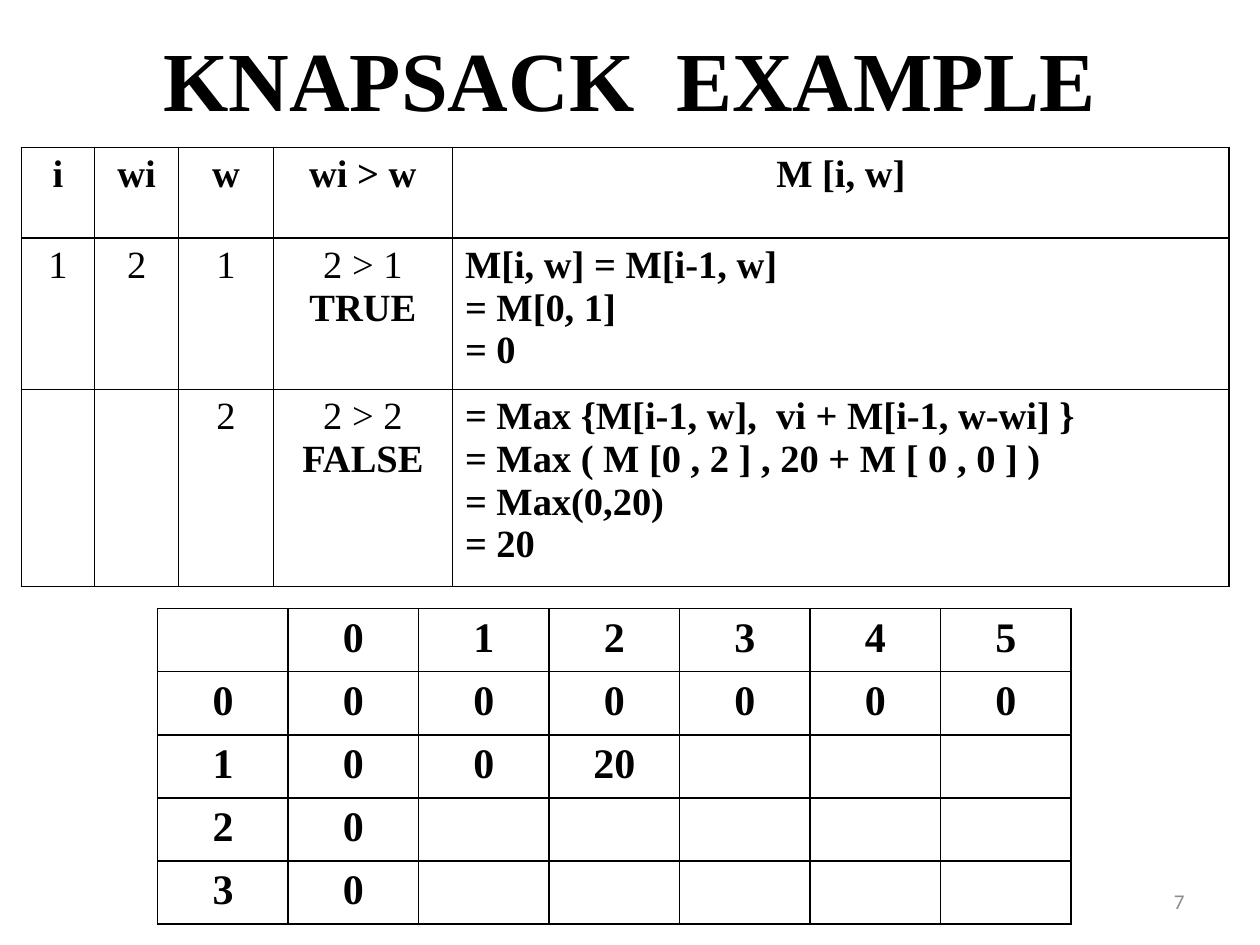
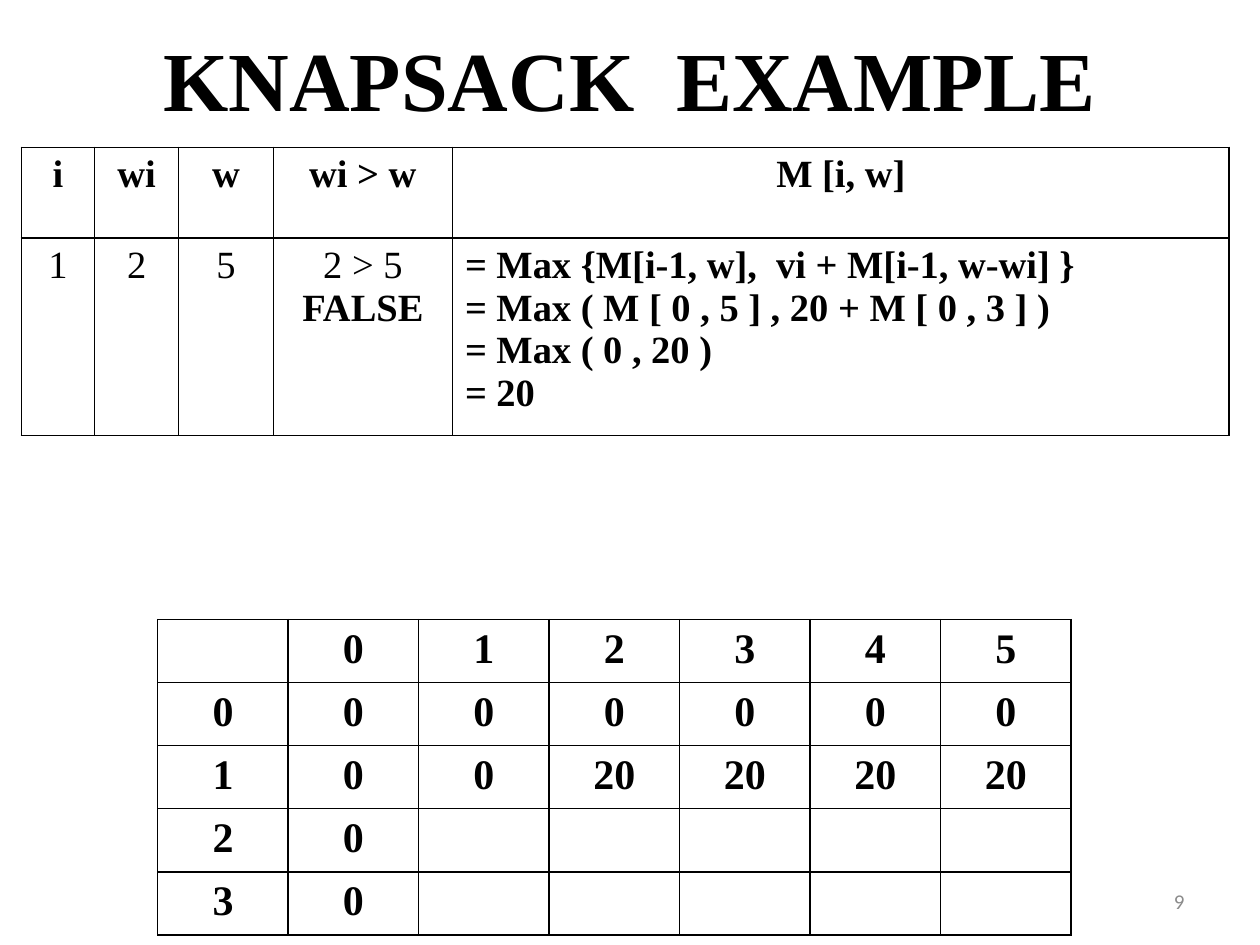
from lxml import etree
from pptx import Presentation
from pptx.dml.color import RGBColor
from pptx.enum.text import MSO_ANCHOR, PP_ALIGN
from pptx.oxml.ns import qn
from pptx.util import Cm, Pt

LEFT, CENTER, RIGHT = PP_ALIGN.LEFT, PP_ALIGN.CENTER, PP_ALIGN.RIGHT
MIDDLE = MSO_ANCHOR.MIDDLE
BLACK, WHITE, GRAY = "000000", "FFFFFF", "8B8B8B"
SERIF, SANS = "Times New Roman", "Calibri"

STEP_WIDTHS = [1.48, 1.69, 1.91, 3.61, 15.66]
STEP_HEADER = ["i", "wi", "w", "wi > w", "M [i, w]"]
CONDITION, FORMULA = 3, 4
HEADER_HEIGHT = 1.83
MAX_RULE = "= Max {M[i-1, w],  vi + M[i-1, w-wi] }"
CAPACITIES = range(6)
ITEMS = range(4)


def color(value):
    return RGBColor.from_string(value)


class KnapsackDeck:
    def __init__(self):
        self.deck = Presentation()
        self.deck.slide_width, self.deck.slide_height = Cm(25.4), Cm(19.05)
        self.page = None

    def add_page(self, number):
        self.page = self.deck.slides.add_slide(self.deck.slide_layouts[6])
        self.text((1.27, 0.2, 22.86, 2.74), "KNAPSACK  EXAMPLE", 48, CENTER, bold=True)
        self.text((18.2, 17.65, 5.93, 1.02), str(number), 12, RIGHT,
                  font=SANS, ink=GRAY)

    def style(self, para, size, align, bold=False, font=SERIF, ink=BLACK):
        para.alignment = align
        for span in para.runs:
            span.font.name, span.font.size, span.font.bold = font, Pt(size), bold
            span.font.color.rgb = color(ink)

    def text(self, place, words, size, align, **look):
        frame = self.page.shapes.add_textbox(*map(Cm, place)).text_frame
        frame.word_wrap = True
        frame.vertical_anchor = MIDDLE
        frame.text = words
        self.style(frame.paragraphs[0], size, align, **look)

    def border(self, cell):
        properties = cell._tc.get_or_add_tcPr()
        for side in ("a:lnL", "a:lnR", "a:lnT", "a:lnB"):
            line = etree.SubElement(properties, qn(side), w=str(Pt(1)))
            fill = etree.SubElement(line, qn("a:solidFill"))
            etree.SubElement(fill, qn("a:srgbClr"), val=BLACK)

    def table(self, left, top, widths, heights, rows, size, look):
        """Draw a ruled table; look(row, column, line) gives alignment and bold."""
        table = self.page.shapes.add_table(
            len(heights), len(widths), Cm(left), Cm(top),
            Cm(sum(widths)), Cm(sum(heights))).table
        table.first_row = table.horz_banding = False
        for column, width in zip(table.columns, widths):
            column.width = Cm(width)
        for r, (height, values) in enumerate(zip(heights, rows)):
            table.rows[r].height = Cm(height)
            for c, value in enumerate(values):
                cell = table.cell(r, c)
                self.border(cell)
                cell.fill.solid()
                cell.fill.fore_color.rgb = color(WHITE)
                cell.text = value
                for n, para in enumerate(cell.text_frame.paragraphs):
                    align, bold = look(r, c, n)
                    self.style(para, size, align, bold)

    def steps_table(self, heights, steps):
        def look(row, column, line):
            if row == 0:
                return CENTER, True
            if column == FORMULA:
                return LEFT, True
            return CENTER, column == CONDITION and line > 0

        self.table(0.43, 2.97, STEP_WIDTHS, [HEADER_HEIGHT] + heights,
                   [STEP_HEADER] + steps, 22, look)

    def value_table(self, top, first_item):
        """Draw M[i, w]: row 0 and column 0 are zero, row 1 holds first_item."""
        rows = [[""] + [str(w) for w in CAPACITIES]]
        for item in ITEMS:
            known = {0: [0] * len(CAPACITIES), 1: first_item}.get(item, [0])
            blanks = [""] * (len(CAPACITIES) - len(known))
            rows.append([str(item)] + [str(v) for v in known] + blanks)
        self.table(3.18, top, [2.63] * len(rows[0]), [1.27] * len(rows), rows, 24,
                   lambda row, column, line: (CENTER, True))


def main():
    show = KnapsackDeck()

    show.add_page(7)
    show.value_table(12.27, [0, 0, 20])
    show.steps_table([3, 3.91], [
        ["1", "2", "1", "2 > 1\nTRUE", "M[i, w] = M[i-1, w]\n= M[0, 1]\n= 0"],
        ["", "", "2", "2 > 2\nFALSE",
         f"{MAX_RULE}\n= Max ( M [0 , 2 ] , 20 + M [ 0 , 0 ] )\n= Max(0,20)\n= 20"],
    ])

    show.add_page(9)
    show.value_table(12.49, [0, 0, 20, 20, 20, 20])
    show.steps_table([3.89], [
        ["1", "2", "5", "2 > 5\nFALSE",
         f"{MAX_RULE}\n= Max ( M [ 0 , 5 ] , 20 + M [ 0 , 3 ] )\n= Max ( 0 , 20 )\n= 20"],
    ])

    show.deck.save("out.pptx")


if __name__ == "__main__":
    main()
